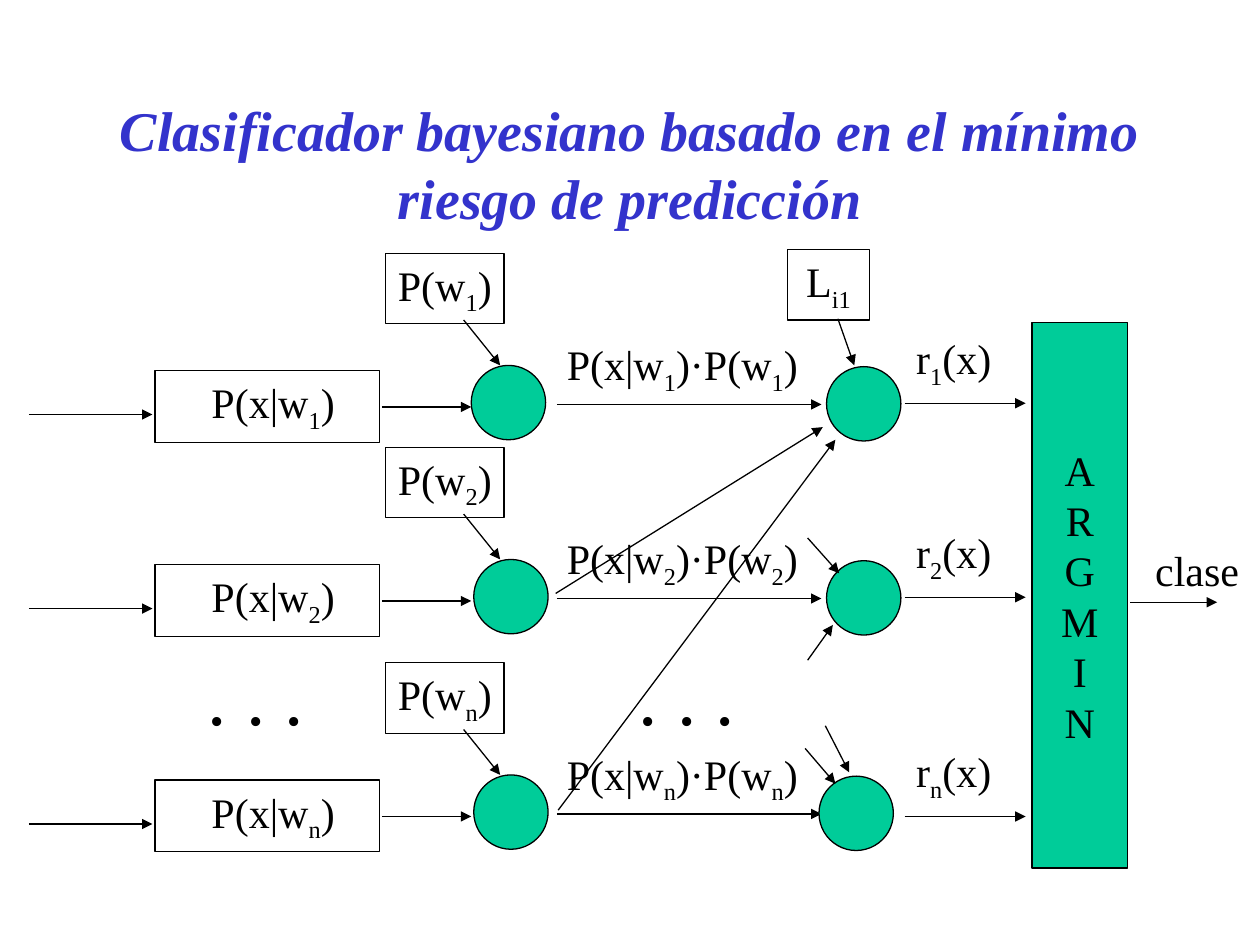
from lxml import etree
from pptx import Presentation
from pptx.dml.color import RGBColor
from pptx.enum.shapes import MSO_CONNECTOR, MSO_SHAPE
from pptx.enum.text import MSO_ANCHOR, MSO_AUTO_SIZE, PP_ALIGN
from pptx.oxml.ns import qn
from pptx.util import Inches, Pt

STRAIGHT = MSO_CONNECTOR.STRAIGHT
RECTANGLE = MSO_SHAPE.RECTANGLE
OVAL = MSO_SHAPE.OVAL
TOP, MIDDLE = MSO_ANCHOR.TOP, MSO_ANCHOR.MIDDLE
LEFT, CENTER = PP_ALIGN.LEFT, PP_ALIGN.CENTER
GROW = MSO_AUTO_SIZE.SHAPE_TO_FIT_TEXT

FONT = "Times New Roman"
COLORS = {"title": "3333CC", "ink": "000000", "node": "00CC99"}
NODE_SIZE = 0.59

CLASS_ROWS = [
    {"index": "1", "shift": 0, "product_x": 3.74, "risk_x": 6.56, "risk_shift": 0},
    {"index": "2", "shift": 1.54, "product_x": 3.76, "risk_x": 6.56, "risk_shift": 1.54},
    {"index": "n", "shift": 3.25, "product_x": 3.76, "risk_x": 6.5, "risk_shift": 3.28},
]
LOSS_ARROWS = [
    (4.41, 4.71, 6.53, 3.39),
    (4.43, 6.43, 6.63, 3.49),
    (6.65, 2.53, 6.78, 2.9),
    (6.39, 5.94, 6.63, 6.22),
    (6.55, 5.76, 6.74, 6.13),
    (6.41, 5.24, 6.61, 4.96),
    (6.41, 4.27, 6.66, 4.55),
]


def color(name):
    return RGBColor.from_string(COLORS[name])


def set_outline(line):
    line.color.rgb = color("ink")
    line.width = Pt(0.75)


def write(box, text, size=24, align=LEFT, anchor=TOP, wrap=False, ink="ink"):
    frame = box.text_frame
    frame.word_wrap = wrap
    frame.vertical_anchor = anchor
    if align == LEFT:
        frame.margin_right = Inches(0.05)
    for number, line in enumerate(text.split("\n")):
        para = frame.add_paragraph() if number else frame.paragraphs[0]
        para.alignment = align
        para.font.name = FONT
        para.font.size = Pt(size)
        para.font.color.rgb = color(ink)
        for position, part in enumerate(line.split("_")):
            if part:
                span = para.add_run()
                span.text = part
                if position % 2:
                    span._r.get_or_add_rPr().set("baseline", "-25000")


def add_label(page, area, text, **style):
    box = page.shapes.add_textbox(*map(Inches, area))
    write(box, text, **style)
    box.text_frame.auto_size = GROW
    return box


def add_framed_label(page, area, text, **style):
    set_outline(add_label(page, area, text, **style).line)


def add_block(page, kind, area, fill=None):
    block = page.shapes.add_shape(kind, *map(Inches, area))
    block.shadow.inherit = False
    set_outline(block.line)
    if fill:
        block.fill.solid()
        block.fill.fore_color.rgb = color(fill)
    else:
        block.fill.background()
    return block


def add_node(page, left, top):
    add_block(page, OVAL, (left, top, NODE_SIZE, NODE_SIZE), "node")


def add_arrow(page, *ends):
    arrow = page.shapes.add_connector(STRAIGHT, *map(Inches, ends))
    set_outline(arrow.line)
    etree.SubElement(arrow.line._get_or_add_ln(), qn("a:tailEnd"), type="triangle")
    etree.SubElement(arrow._element.spPr, qn("a:effectLst"))


def add_title(page):
    box = page.shapes.add_textbox(*map(Inches, (0.75, 0.67, 8.5, 1.25)))
    write(box, "Clasificador bayesiano basado en el mínimo riesgo de predicción",
          size=32, align=CENTER, anchor=MIDDLE, wrap=True, ink="title")
    font = box.text_frame.paragraphs[0].font
    font.bold = True
    font.italic = True


def add_class_row(page, row):
    index, shift = row["index"], row["shift"]
    add_block(page, RECTANGLE, (1.23, 2.94 + shift, 1.78, 0.57))
    add_label(page, (1.58, 2.94 + shift, 1.18, 0.56), f"P(x|w_{index}_)")
    add_arrow(page, 0.23, 3.29 + shift, 1.21, 3.29 + shift)
    add_node(page, row["product_x"], 2.9 + shift)
    add_framed_label(page, (3.06, 2.01 + shift, 0.94, 0.56), f"P(w_{index}_)")
    add_arrow(page, 3.68, 2.54 + shift, 3.97, 2.9 + shift)
    add_arrow(page, 3.03, 3.23 + shift, 3.74, 3.23 + shift)
    add_arrow(page, 4.42, 3.21 + shift, 6.52, 3.21 + shift)
    add_label(page, (4.4, 2.64 + shift, 2.03, 0.56),
              f"P(x|w_{index}_)·P(w_{index}_)")


def add_risk_row(page, row):
    shift = row["risk_shift"]
    add_node(page, row["risk_x"], 2.91 + row["shift"])
    add_arrow(page, 7.18, 3.2 + shift, 8.14, 3.2 + shift)
    add_label(page, (7.09, 2.59 + shift, 0.96, 0.56), f"r_{row['index']}_(x)",
              align=CENTER, wrap=True)


def add_decision(page):
    block = add_block(page, RECTANGLE, (8.19, 2.56, 0.76, 4.33), "node")
    write(block, "\n".join("ARGMIN"), align=CENTER, anchor=MIDDLE)
    add_arrow(page, 8.97, 4.78, 9.66, 4.78)
    add_label(page, (9.07, 4.27, 0.86, 0.5), "clase")


def main():
    deck = Presentation()
    deck.slide_width = Inches(10)
    deck.slide_height = Inches(7.5)
    page = deck.slides.add_slide(deck.slide_layouts[6])

    add_title(page)
    for row in CLASS_ROWS:
        add_class_row(page, row)
    add_decision(page)
    for left in (1.55, 4.97):
        add_label(page, (left, 5.1, 0.96, 0.84), ". . .", size=44)
    for row in CLASS_ROWS:
        add_risk_row(page, row)
    add_framed_label(page, (6.25, 1.98, 0.65, 0.56), "L_i1_", align=CENTER, wrap=True)
    for ends in LOSS_ARROWS:
        add_arrow(page, *ends)

    deck.save("out.pptx")


if __name__ == "__main__":
    main()
